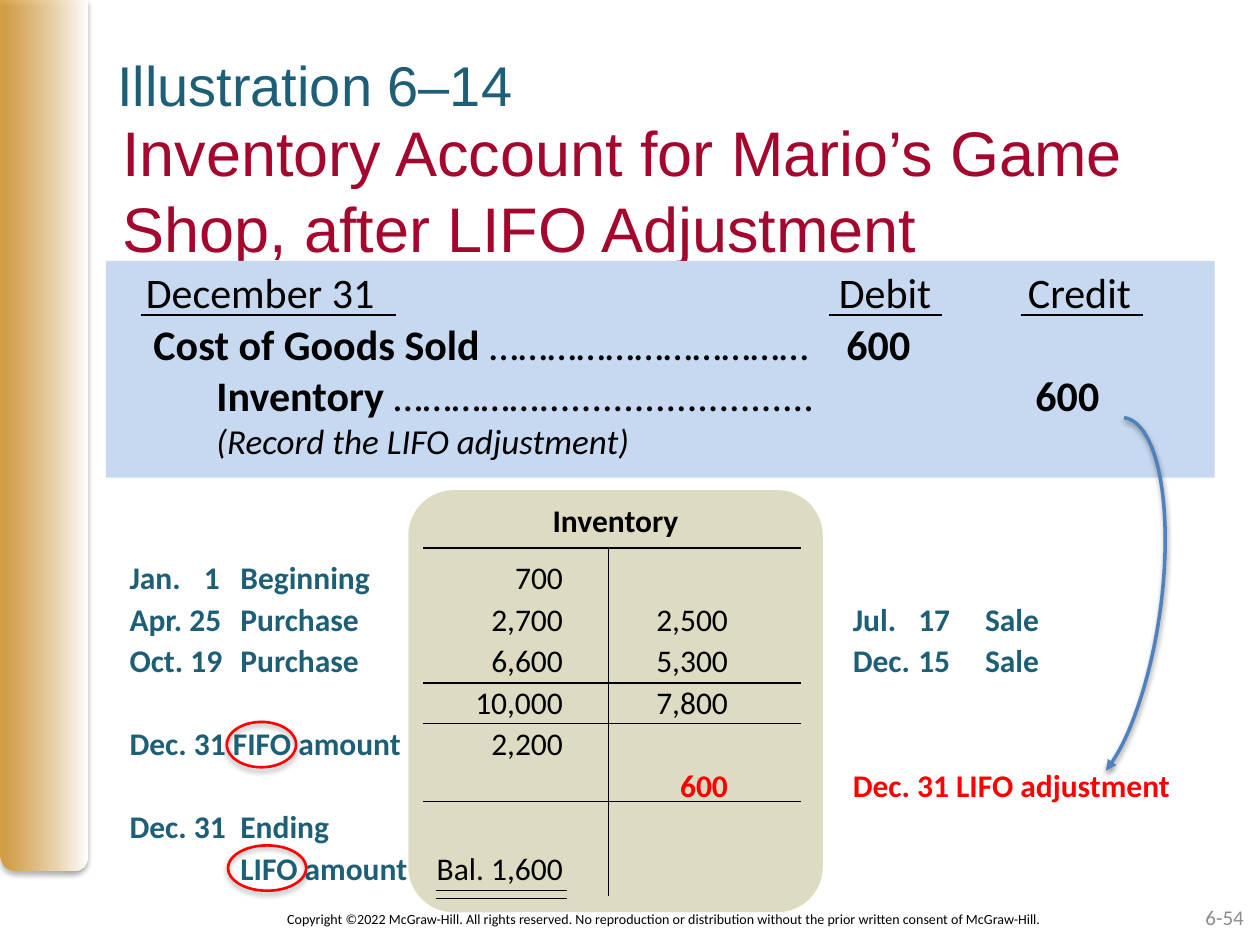
import pptx
import pptx.util
import pptx.dml.color
import pptx.enum.shapes
import pptx.enum.text
import pptx.oxml.ns
import lxml.etree

Pt = pptx.util.Pt
KIND = pptx.enum.shapes.MSO_SHAPE
ALIGN = pptx.enum.text.PP_ALIGN
ANCHOR = pptx.enum.text.MSO_ANCHOR
qn = pptx.oxml.ns.qn

COLS, ROWS = 100, 75
WIDE, TALL = pptx.util.Inches(10), pptx.util.Inches(7.5)

TEAL, WINE, RED, BLACK, GRAY = "1D5F76", "A5062D", "FF0000", "000000", "8C8C8C"
GOLD, SAND, SKY, BLUE, WHITE = "D49323", "D4D0B0", "C6D9F1", "4F81BD", "FFFFFF"


def paint(code):
    return pptx.dml.color.RGBColor.from_string(code)


def add(parent, tag, **attrs):
    node = lxml.etree.SubElement(parent, qn(tag))
    for key, value in attrs.items():
        node.set(key, str(value))
    return node


def fade(shape, share):
    """Make the first colour of the shape's fill partly opaque."""
    color = next(shape.element.spPr.iter(qn("a:srgbClr")))
    add(color, "a:alpha", val=share * 1000)


class Page:
    """Holds the slide, its grid and the default text style."""

    base = {"size": 18, "name": "Calibri", "color": BLACK, "bold": False, "italic": False}

    def __init__(self, deck):
        self.slide = deck.slides.add_slide(deck.slide_layouts[6])
        self.shapes = self.slide.shapes

    def grid(self, *cells):
        """Turn alternating columns and rows into lengths."""
        units = (WIDE / COLS, TALL / ROWS)
        return [round(cell * units[i % 2]) for i, cell in enumerate(cells)]

    def stroke(self, line, color, width):
        line.color.rgb = paint(color)
        line.width = Pt(width)

    def shape(self, kind, cells, fill=None, line=None, adjust=(), shade=None):
        """Draw a preset shape; shade is the shadow's opacity in percent."""
        shape = self.shapes.add_shape(kind, *self.grid(*cells))
        for i, value in enumerate(adjust):
            shape.adjustments[i] = value
        if fill:
            shape.fill.solid()
            shape.fill.fore_color.rgb = paint(fill)
        else:
            shape.fill.background()
        if line:
            self.stroke(shape.line, *line)
        else:
            shape.line.fill.background()
        shape.shadow.inherit = False
        if shade:
            effect = shape.element.spPr.find(qn("a:effectLst"))
            outer = add(effect, "a:outerShdw", blurRad=Pt(3.1), dist=Pt(1.8),
                        dir=5400000, rotWithShape=0)
            add(add(outer, "a:srgbClr", val=BLACK), "a:alpha", val=shade * 1000)
        return shape

    def rule(self, start, end, width=0.75):
        line = self.shapes.add_connector(
            pptx.enum.shapes.MSO_CONNECTOR.STRAIGHT, *self.grid(*start, *end))
        self.stroke(line.line, BLACK, width)
        add(line.element.spPr, "a:effectLst")

    def text(self, cells, lines, tabs=(), align=ALIGN.LEFT, anchor=ANCHOR.TOP,
             inset=True, space=1, **style):
        """Write lines, each a list of (words, style changes) runs."""
        frame = self.shapes.add_textbox(*self.grid(*cells)).text_frame
        frame.word_wrap = True
        frame.vertical_anchor = anchor
        if not inset:
            for side in ("left", "top", "right", "bottom"):
                setattr(frame, "margin_" + side, 0)
        for i, runs in enumerate(lines):
            para = frame.add_paragraph() if i else frame.paragraphs[0]
            if tabs:
                stops = add(para._p.get_or_add_pPr(), "a:tabLst")
                for col, side in tabs:
                    add(stops, "a:tab", pos=self.grid(col)[0], algn=side)
            para.alignment = align
            para.line_spacing = space
            for words, change in runs:
                run = para.add_run()
                run.text = words
                look = {**self.base, **style, **change}
                run.font.color.rgb = paint(look.pop("color"))
                look["size"] = Pt(look["size"])
                for key, value in look.items():
                    setattr(run.font, key, value)


def frame(page):
    bar = page.shape(KIND.ROUND_2_SAME_RECTANGLE, (0, 0, 6.9, 69.1), GOLD,
                     adjust=(0, 0.17), shade=35)
    bar.fill.gradient()
    bar.fill.gradient_angle = 0
    for stop, color, place in zip(bar.fill.gradient_stops, (GOLD, WHITE), (0, 1)):
        stop.color.rgb = paint(color)
        stop.position = place
    fade(bar, 80)
    page.text((14.6, 71.8, 76.3, 2.4), [[(
        "Copyright ©2022 McGraw-Hill. All rights reserved. No reproduction or "
        "distribution without the prior written consent of McGraw-Hill.", {})]],
        align=ALIGN.CENTER, size=8)
    page.text((76.4, 70.8, 23.3, 4), [[("6-54", {})]], align=ALIGN.RIGHT,
              anchor=ANCHOR.MIDDLE, size=12, color=GRAY)
    page.text((9.7, 9, 90.3, 12.5),
              [[("Inventory Account for Mario’s Game Shop, after LIFO Adjustment", {})]],
              inset=False, size=36, name="Arial", color=WINE)
    page.text((9.3, 4, 57.6, 4.6), [[("Illustration 6–14", {})]],
              inset=False, size=32, name="Arial", color=TEAL)


def ledger(page):
    card = page.shape(KIND.ROUNDED_RECTANGLE, (32.4, 38.9, 32.9, 33.5), SAND, adjust=(0.11,))
    fade(card, 75)
    page.text((33.8, 39.3, 30.1, 4), [[("Inventory", {})]], align=ALIGN.CENTER, bold=True)
    label, red, sums = {"color": TEAL, "bold": True}, {"color": RED, "bold": True}, {}
    tabs = [(5.9, "l"), (8.8, "l"), (34.4, "r"), (47.5, "r"),
            (57.4, "l"), (62.6, "l"), (67.9, "l")]
    page.text((9.3, 43.5, 88.7, 27.6), [
        [("Jan.\t1\tBeginning", label), ("\t700", sums)],
        [("Apr. 25\tPurchase", label), ("\t2,700\t2,500\t", sums), ("Jul.\t17\tSale", label)],
        [("Oct. 19\tPurchase", label), ("\t6,600\t5,300\t", sums), ("Dec.\t15\tSale", label)],
        [("\t\t\t10,000\t7,800", sums)],
        [("Dec. 31 FIFO amount", label), ("\t2,200", sums)],
        [("\t\t\t\t600\tDec. 31 LIFO adjustment", red)],
        [("Dec. 31\tEnding", label)],
        [("\t\tLIFO amount", label), ("\tBal. 1,600", sums)],
    ], tabs, space=1.1)
    for row in (43.5, 54.2, 57.4, 63.6):
        page.rule((33.6, row), (63.6, row))
    page.rule((48.3, 43.5), (48.3, 71.1))
    for row in (70.7, 71.3):
        page.rule((34.6, row), (45, row))


def entry(page):
    page.shape(KIND.RECTANGLE, (8.4, 20.7, 88, 17.2), SKY)
    tabs = [(55, "l"), (70, "l")]
    page.text((10.6, 20.7, 84, 5), [[("December 31\tDebit\tCredit", {})]], tabs, size=24)
    bold = {"bold": True}
    page.text((11.2, 24.8, 84, 13.1), [
        [("Cost of Goods Sold ", bold), ("……………………………", {}), ("\t600", bold)],
        [("\tInventory ", bold), ("……………..........................", {}), ("\t\t600", bold)],
        [("\t(Record the LIFO adjustment)", {"italic": True, "size": 20})],
    ], [(5, "l")] + tabs, size=24)
    for left, right in ((65.8, 74.8), (81, 90.7), (11.2, 31.4)):
        page.rule((left, 25), (right, 25), 1)


def marks(page):
    arc = page.shape(KIND.ARC, (82.1, 33, 10, 30), line=(BLUE, 2),
                     adjust=(162, 47.36), shade=38)
    arc.rotation = 8.1
    add(arc.element.spPr.find(qn("a:ln")), "a:tailEnd", type="triangle")
    for cells in ((18, 57.3, 5.5, 3.6), (18.1, 67.1, 6.2, 3.6)):
        page.shape(KIND.OVAL, cells, line=(RED, 1.5), shade=35)


def main():
    deck = pptx.Presentation()
    deck.slide_width, deck.slide_height = WIDE, TALL
    page = Page(deck)
    for part in (frame, ledger, entry, marks):
        part(page)
    deck.save("out.pptx")


if __name__ == "__main__":
    main()
